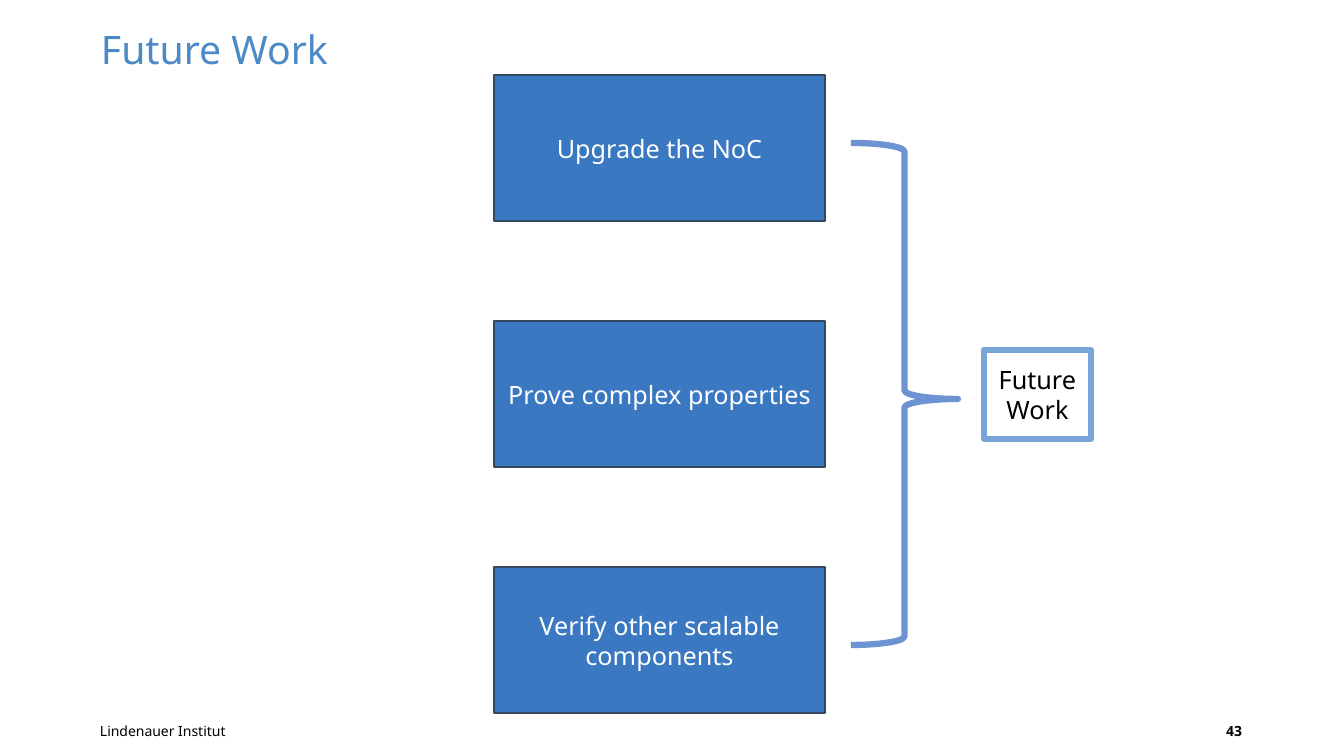
import pptx
import pptx.util
import pptx.dml.color
import pptx.enum.shapes
import pptx.enum.text

SHAPE = pptx.enum.shapes.MSO_SHAPE
ALIGN = pptx.enum.text.PP_ALIGN
ANCHOR = pptx.enum.text.MSO_ANCHOR

# Content
TITLE = "Future Work"
TASKS = ["Upgrade the NoC", "Prove complex properties", "Verify other scalable components"]
SUMMARY = "Future Work"
FOOTER = "Lindenauer Institut"
PAGE = "43"

# Layout in px
EMU_PER_PX = 914400 / 100.8
SLIDE = (1344, 756)
TASK_LEFT, TASK_TOP, TASK_W, TASK_H, TASK_PITCH = 494, 75, 331, 146, 246
BRACE = (851, 143, 107, 502)
SUMMARY_BOX = (984, 350, 107, 89)
TITLE_BOX = (101, 25, 1089, 48)
FOOTER_BOX = (100, 719, 177, 20)
PAGE_BOX = (1189, 720, 63, 23)


def px(n):
    return pptx.util.Emu(round(n * EMU_PER_PX))


def color(hex_code):
    return pptx.dml.color.RGBColor.from_string(hex_code)


def write(s, text, size=18, ink="000000", bold=False, align=ALIGN.LEFT,
          anchor=ANCHOR.BOTTOM, margins=None, wrap=True, spacing=None):
    tf = s.text_frame
    tf.word_wrap = wrap
    tf.vertical_anchor = anchor
    if margins:
        tf.margin_left, tf.margin_top, tf.margin_right, tf.margin_bottom = map(px, margins)
    p = tf.paragraphs[0]
    p.alignment = align
    if spacing:
        p.line_spacing = spacing
    r = p.add_run()
    r.text = text
    r.font.name = "Noto Sans"
    r.font.size = pptx.util.Pt(size)
    r.font.bold = bold
    r.font.color.rgb = color(ink)


def add_shape(kind, box, line, width, fill=None):
    s = slide.shapes.add_shape(kind, *map(px, box))
    s.shadow.inherit = False
    if fill:
        s.fill.solid()
        s.fill.fore_color.rgb = color(fill)
    else:
        s.fill.background()
    s.line.color.rgb = color(line)
    s.line.width = pptx.util.Pt(width)
    return s


def add_text(box, text, **style):
    write(slide.shapes.add_textbox(*map(px, box)), text, **style)


prs = pptx.Presentation()
prs.slide_width, prs.slide_height = map(px, SLIDE)
slide = prs.slides.add_slide(prs.slide_layouts[6])

# Footer, title and page number
add_text(FOOTER_BOX, FOOTER, size=10, margins=(0, 0, 0, 0), wrap=False)
add_text(TITLE_BOX, TITLE, size=28, ink="4C8AC6", margins=(0, 0, 10, 0), spacing=0.9)
add_text(PAGE_BOX, PAGE, size=10, bold=True, align=ALIGN.RIGHT, margins=(0, 0, 10, 4))

# Column of tasks
for i, task in enumerate(TASKS):
    box = (TASK_LEFT, TASK_TOP + i * TASK_PITCH, TASK_W, TASK_H)
    s = add_shape(SHAPE.RECTANGLE, box, "35485E", 1, fill="3A78C2")
    write(s, task, ink="FFFFFF", align=ALIGN.CENTER, anchor=ANCHOR.MIDDLE)

# Brace leading to the summary
brace = add_shape(SHAPE.RIGHT_BRACE, BRACE, "6E93D3", 4.5)
brace.adjustments[0] = 0.08
brace.adjustments[1] = 0.51
s = add_shape(SHAPE.RECTANGLE, SUMMARY_BOX, "79A4D7", 4.5, fill="FFFFFF")
write(s, SUMMARY, align=ALIGN.CENTER, anchor=ANCHOR.MIDDLE)

prs.save("out.pptx")
